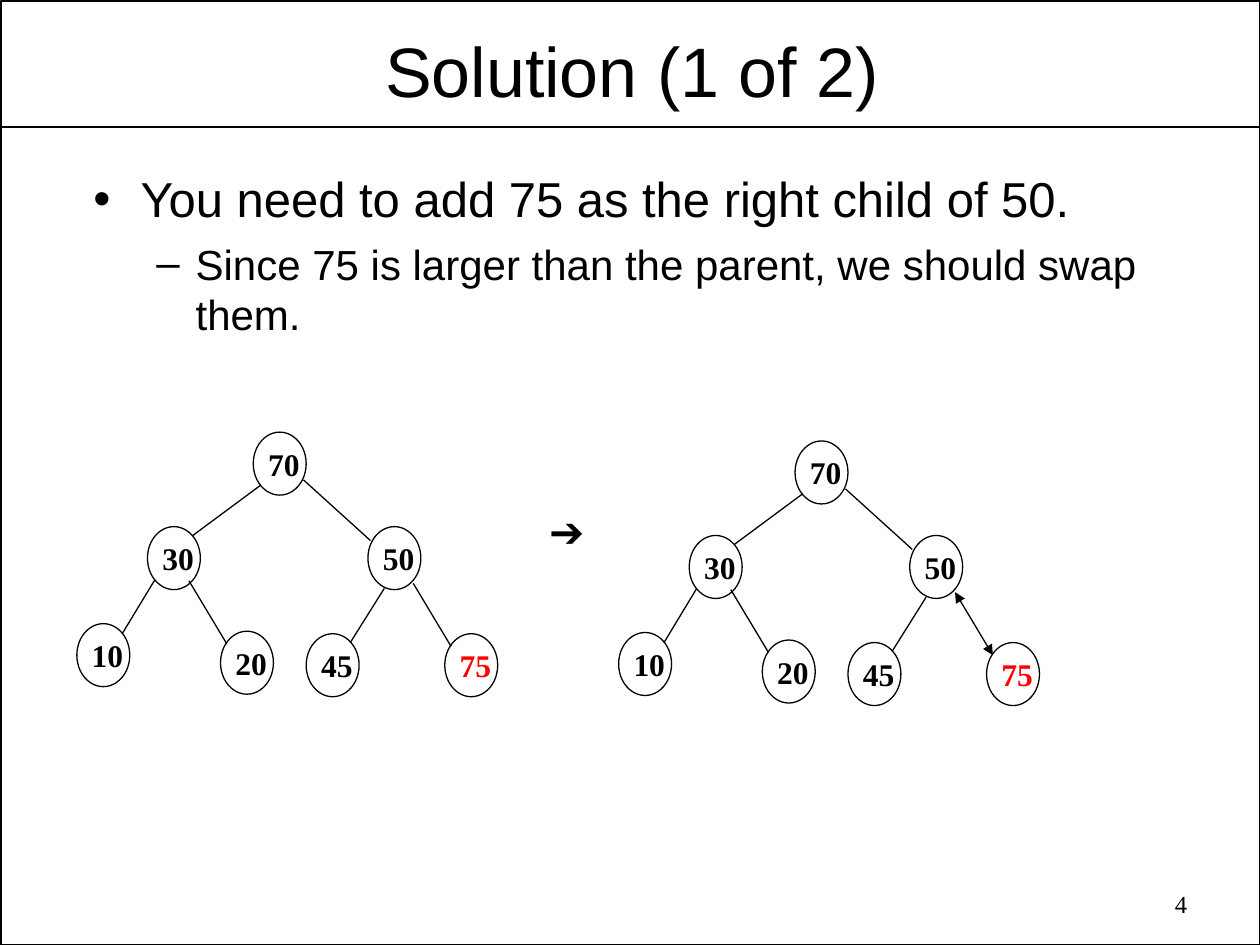
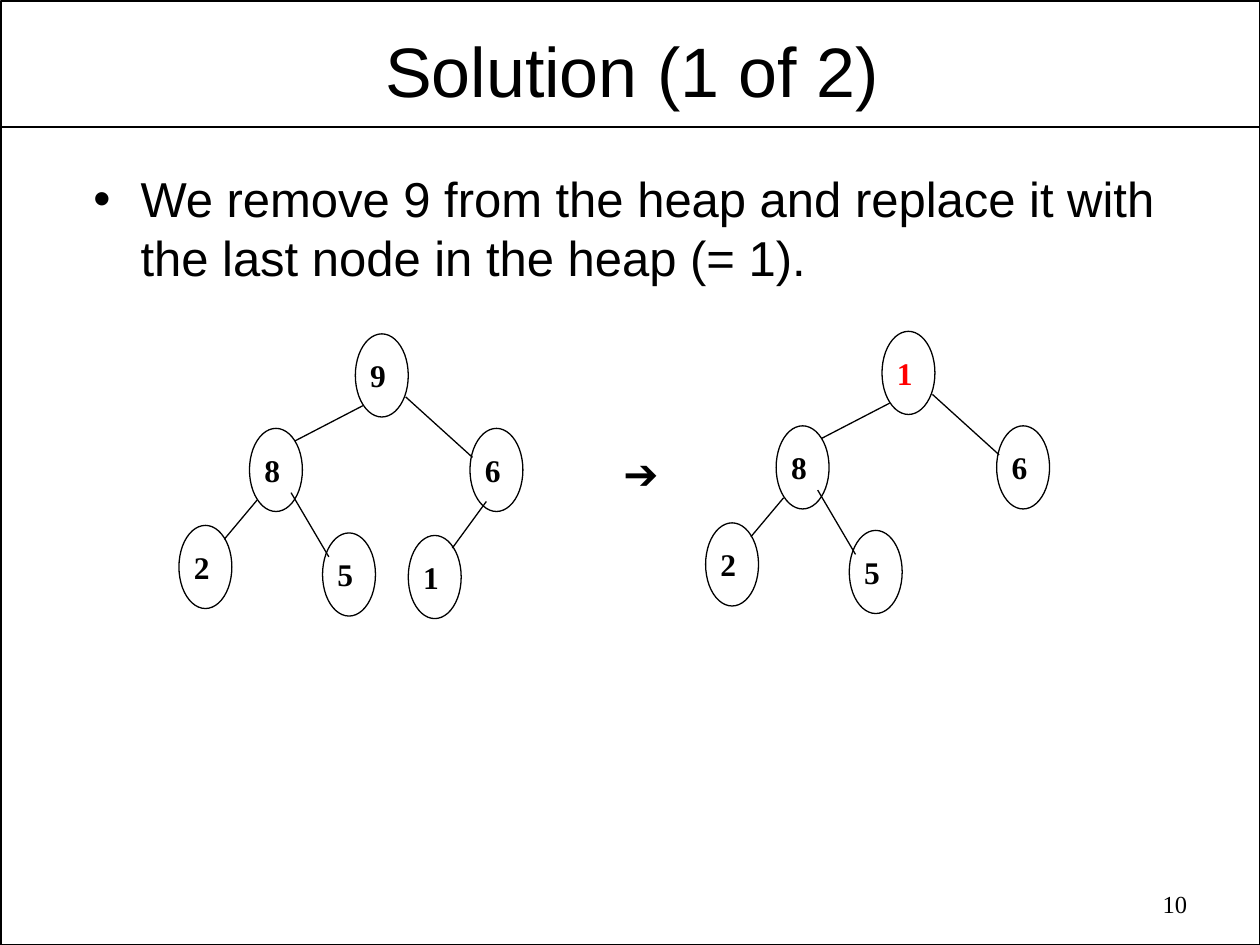
import pptx
import pptx.util
import pptx.dml.color
import pptx.enum.shapes
import pptx.enum.text
import pptx.oxml.ns
import lxml.etree

BLACK = pptx.dml.color.RGBColor(0x00, 0x00, 0x00)
RED = pptx.dml.color.RGBColor(0xFF, 0x00, 0x00)
SANS, SERIF = "Arial", "Times New Roman"
LEFT = pptx.enum.text.PP_ALIGN.LEFT
CENTER = pptx.enum.text.PP_ALIGN.CENTER
RIGHT = pptx.enum.text.PP_ALIGN.RIGHT
FIT = pptx.enum.text.MSO_AUTO_SIZE.SHAPE_TO_FIT_TEXT
STRAIGHT = pptx.enum.shapes.MSO_CONNECTOR.STRAIGHT

# The slide is a grid of square cells, 10 across and 7.5 down.
deck = pptx.Presentation()
deck.slide_width = pptx.util.Inches(10)
deck.slide_height = pptx.util.Inches(7.5)
CELL = deck.slide_width // 10

# Heap slots in level order, measured from the root's top left corner.
NODE_WIDTH = 0.42
NODES = [(0, 0), (-0.84, 0.75), (0.91, 0.75),
         (-1.4, 1.52), (-0.26, 1.58), (0.42, 1.6), (1.52, 1.6)]
# Each edge leads from a parent to the slot of the same rank after the root.
EDGE_COLUMNS = [(0.06, -0.48), (0.4, 0.93), (-0.78, -1.04),
                (-0.51, -0.21), (1.04, 0.77), (1.27, 1.57)]
SHORT_EDGE_ROWS = [(0.42, 0.82), (0.38, 0.86), (1.17, 1.6),
                   (1.18, 1.68), (1.24, 1.67), (1.2, 1.7)]
TALL_EDGE_ROWS = [(0.57, 0.85), (0.5, 0.98), (1.32, 1.63),
                  (1.26, 1.77), (1.33, 1.7)]

SLIDES = [
    {"number": "4", "body_height": 2.03,
     "points": ["You need to add 75 as the right child of 50.",
                "Since 75 is larger than the parent, we should swap them."],
     "node_height": 0.5, "edge_rows": SHORT_EDGE_ROWS, "arrow": (4.26, 3.96),
     "heaps": [
         {"root": (2.01, 3.43), "keys": [70, 30, 50, 10, 20, 45, 75],
          "marked": 75, "swapped": None},
         {"root": (6.31, 3.5), "keys": [70, 30, 50, 10, 20, 45, 75],
          "marked": 75, "swapped": 75}]},
    {"number": "10", "body_height": 1.21,
     "points": ["We remove 9 from the heap and replace it with the last node "
                "in the heap (= 1)."],
     "node_height": 0.66, "edge_rows": TALL_EDGE_ROWS, "arrow": (4.85, 3.5),
     "heaps": [
         {"root": (2.82, 2.65), "keys": [9, 8, 6, 2, 5, 1],
          "marked": None, "swapped": None},
         {"root": (7, 2.63), "keys": [1, 8, 6, 2, 5],
          "marked": 1, "swapped": None}]},
]
POINT_STYLES = [(28, 7), (24, 6)]  # text size and space before, by level


def cells(*counts):
    return [round(count * CELL) for count in counts]


def style(paragraph, size, font, align=LEFT, color=BLACK, bold=False):
    paragraph.alignment = align
    paragraph.font.size = pptx.util.Pt(size)
    paragraph.font.name = font
    paragraph.font.bold = bold
    paragraph.font.color.rgb = color


lines = []
for content in SLIDES:
    slide = deck.slides.add_slide(deck.slide_layouts[1])
    shapes = slide.shapes

    # The border and the rule under the title move to the master once.
    if content is SLIDES[0]:
        border = shapes.add_shape(pptx.enum.shapes.MSO_SHAPE.RECTANGLE,
                                  *cells(0.01, 0.01, 9.99, 7.49))
        border.shadow.inherit = False
        border.fill.background()
        border.line.color.rgb = BLACK
        border.line.width = pptx.util.Pt(1)
        rule = shapes.add_connector(STRAIGHT, *cells(0.01, 1.01, 9.99, 1.01))
        lines.append((rule, 1))
        for rank, part in enumerate((border, rule)):
            part.element.xpath(".//p:cNvPr")[0].set("id", str(100 + rank))
            deck.slide_master.shapes.element.insert(2 + rank, part.element)

    title = shapes.title
    title.left, title.top, title.width, title.height = cells(0.53, 0.19, 8.97, 0.72)
    heading = title.text_frame
    heading.text = "Solution (1 of 2)"
    heading.margin_left = heading.margin_right = cells(0.07)[0]
    heading.margin_top = heading.margin_bottom = cells(0.03)[0]
    heading.auto_size = FIT
    style(heading.paragraphs[0], 40, SANS, CENTER)

    body = slide.placeholders[1]
    body.left, body.top, body.width, body.height = cells(
        0.64, 1.29, 9.17, content["body_height"])
    body.text_frame.text = "\n".join(content["points"])
    body.text_frame.auto_size = pptx.enum.text.MSO_AUTO_SIZE.NONE
    for level, point in enumerate(body.text_frame.paragraphs):
        size, space = POINT_STYLES[level]
        point.level = level
        point.space_before = pptx.util.Pt(space)
        style(point, size, SANS)

    number = shapes.add_textbox(*cells(7.18, 7.01, 2.34, 0.36)).text_frame
    number.word_wrap = True
    number.text = content["number"]
    style(number.paragraphs[0], 14, SERIF, RIGHT)

    node_height = content["node_height"]
    for heap in content["heaps"]:
        root_x, root_y = heap["root"]
        for key, (x, y) in zip(heap["keys"], NODES):
            left, top = root_x + x, root_y + y
            node = shapes.add_group_shape().shapes
            label = node.add_textbox(*cells(
                left + 0.02, top + (node_height - 0.4) / 2,
                0.2 + 0.13 * len(str(key)), 0.4)).text_frame
            label.text = str(key)
            label.word_wrap = False
            label.auto_size = FIT
            style(label.paragraphs[0], 18, SERIF, bold=True,
                  color=RED if key == heap["marked"] else BLACK)
            ring = node.add_shape(pptx.enum.shapes.MSO_SHAPE.OVAL,
                                  *cells(left, top, NODE_WIDTH, node_height))
            ring.shadow.inherit = False
            ring.fill.background()
            ring.line.color.rgb = BLACK
            ring.line.width = pptx.util.Pt(0.75)

        for key, (x1, x2), (y1, y2) in zip(
                heap["keys"][1:], EDGE_COLUMNS, content["edge_rows"]):
            edge = shapes.add_connector(STRAIGHT, *cells(
                root_x + x1, root_y + y1, root_x + x2, root_y + y2))
            edge.line.width = pptx.util.Pt(0.75)
            lines.append((edge, 0.75))
            if key == heap["swapped"]:
                edge.line.color.rgb = BLACK
                outline = edge.element.spPr.find(pptx.oxml.ns.qn("a:ln"))
                for end in ("a:headEnd", "a:tailEnd"):
                    lxml.etree.SubElement(outline, pptx.oxml.ns.qn(end), type="triangle")

    arrow = shapes.add_textbox(*cells(*content["arrow"], 0.53, 0.5)).text_frame
    arrow.text = "➔"
    arrow.word_wrap = True
    arrow.auto_size = FIT
    style(arrow.paragraphs[0], 24, SANS)

for line, width in lines:
    line.line.color.rgb = BLACK
    line.line.width = pptx.util.Pt(width)
    lxml.etree.SubElement(line.element.spPr, pptx.oxml.ns.qn("a:effectLst"))

deck.save("out.pptx")
